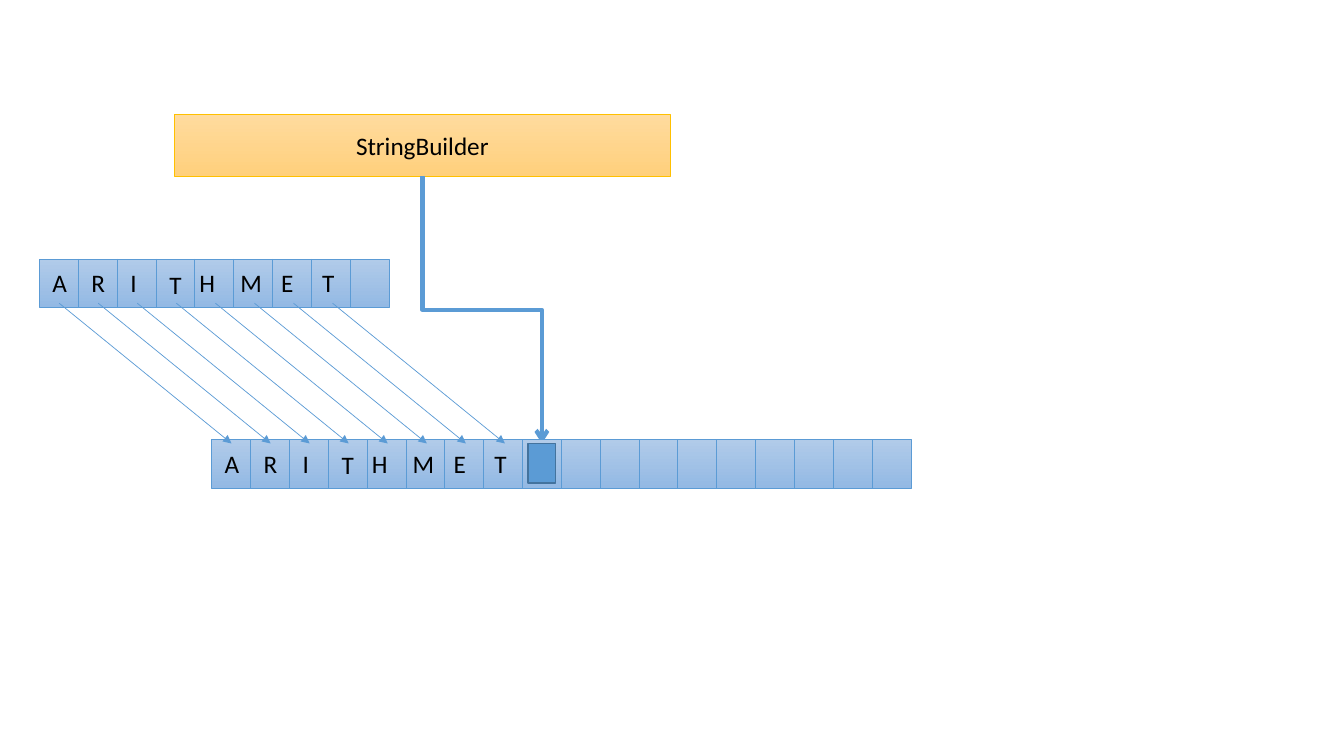
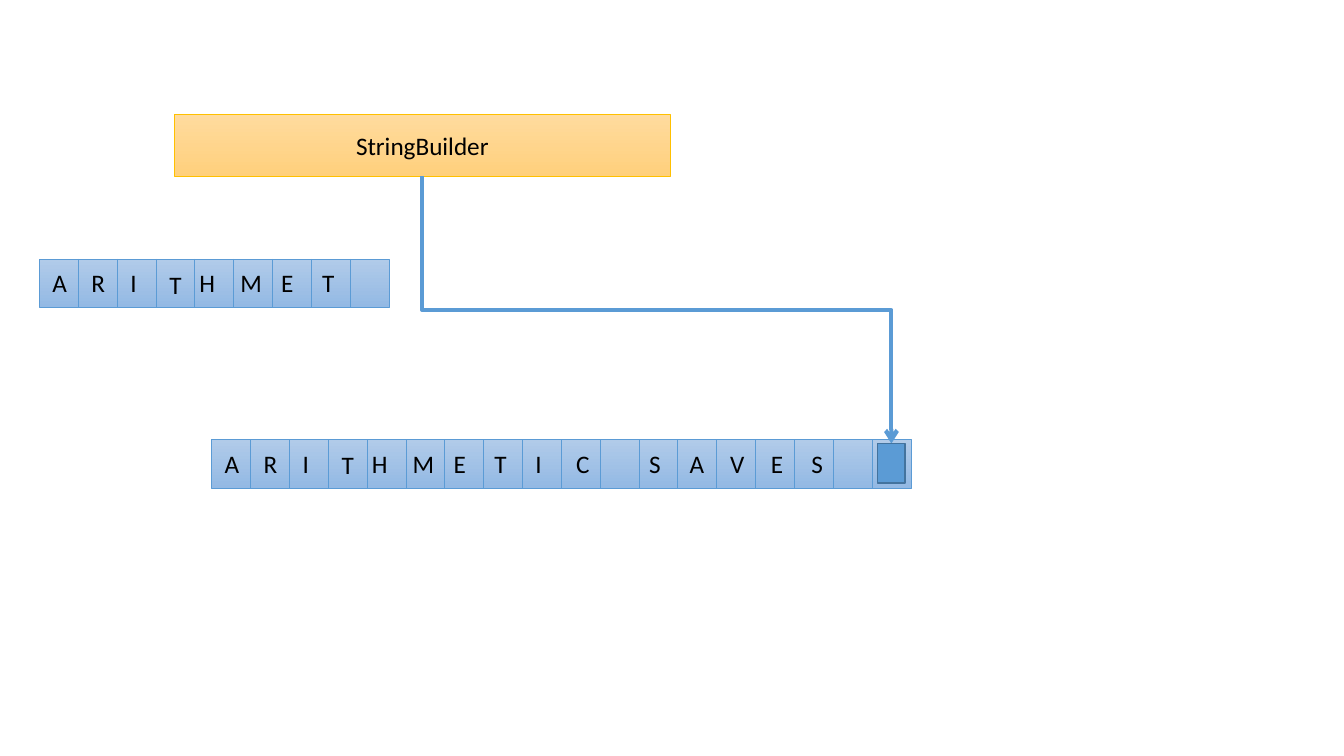
import pptx
import pptx.util
import pptx.dml.color
import pptx.enum.shapes
import pptx.enum.text
import lxml.etree

Pt = pptx.util.Pt
RGBColor = pptx.dml.color.RGBColor
RECTANGLE = pptx.enum.shapes.MSO_SHAPE.RECTANGLE
CONNECTOR = pptx.enum.shapes.MSO_CONNECTOR

BLACK = RGBColor(0x00, 0x00, 0x00)
BLUE = RGBColor(0x5B, 0x9B, 0xD5)
DARK_BLUE = RGBColor(0x43, 0x73, 0x9E)
CELL_TOP = RGBColor(0xB1, 0xCB, 0xE9)
CELL_BOTTOM = RGBColor(0x93, 0xB9, 0xE4)
GOLD = RGBColor(0xFF, 0xC0, 0x00)
GOLD_TOP = RGBColor(0xFF, 0xDB, 0x9E)
GOLD_BOTTOM = RGBColor(0xFF, 0xD0, 0x7C)

FONT = "Calibri"
CELL_W, CELL_H = 27.75, 34.6
CELLS_PER_BLOCK = 9
BLOCK_W = CELLS_PER_BLOCK * CELL_W
HEADER = (124.6, 81.4, 354.2, 44.6)
SOURCE = (28.1, 185)
BUFFER = (151.2, 313.9)
MARKER_W, MARKER_H = 19.6, 28.3
LETTER_RUNS = (("ARIT", 2.2, 27.85), ("HMETIC", 107.3, 29.2), ("SAVES", 305.3, 29))
LETTER_W = {"A": 25.2, "R": 25, "I": 19.4, "T": 23, "H": 26, "M": 30,
            "E": 23, "C": 24.5, "S": 23, "V": 25.2}
LETTER_H = 29


def add_run(p, text):
    r = p.add_run()
    r.text = text
    r.font.name = FONT
    r.font.size = Pt(18)
    r.font.color.rgb = BLACK


def add_rect(shapes, box, colors, line, weight=0.5):
    sp = shapes.add_shape(RECTANGLE, *map(Pt, box))
    sp.shadow.inherit = False
    if len(colors) == 1:
        sp.fill.solid()
        sp.fill.fore_color.rgb = colors[0]
    else:
        sp.fill.gradient()
        sp.fill.gradient_angle = 270
        for stop, color in zip(sp.fill.gradient_stops, colors):
            stop.color.rgb = color
    sp.line.color.rgb = line
    sp.line.width = Pt(weight)
    return sp


def add_line(shapes, start, end, weight=0.5, head=None, kind=CONNECTOR.STRAIGHT):
    line = shapes.add_connector(kind, *map(Pt, start + end))
    line.line.color.rgb = BLUE
    line.line.width = Pt(weight)
    ns = pptx.oxml.ns.qn
    if head:
        ln = line.line._get_or_add_ln()
        lxml.etree.SubElement(ln, ns("a:tailEnd"), type=head)
    lxml.etree.SubElement(line._element.spPr, ns("a:effectLst"))
    return line


def add_header(s, box):
    sp = add_rect(s.shapes, box, (GOLD_TOP, GOLD_BOTTOM), GOLD)
    tf = sp.text_frame
    tf.vertical_anchor = pptx.enum.text.MSO_ANCHOR.MIDDLE
    p = tf.paragraphs[0]
    p.alignment = pptx.enum.text.PP_ALIGN.CENTER
    add_run(p, "StringBuilder")


def add_block(s, x, y):
    shapes = s.shapes.add_group_shape().shapes
    add_rect(shapes, (x, y, BLOCK_W, CELL_H), (CELL_TOP, CELL_BOTTOM), BLUE)
    for i in range(1, CELLS_PER_BLOCK):
        edge = x + i * CELL_W
        add_line(shapes, (edge, y), (edge, y + CELL_H))


def add_letters(s, x, y, count):
    places = [(letter, start + i * step)
              for letters, start, step in LETTER_RUNS
              for i, letter in enumerate(letters)]
    for i, (letter, dx) in enumerate(places[:count]):
        drop = 3.6 if i == 3 else 2.5
        tb = s.shapes.add_textbox(Pt(x + dx), Pt(y + drop), Pt(LETTER_W[letter]), Pt(LETTER_H))
        tf = tb.text_frame
        tf.word_wrap = False
        tf.auto_size = pptx.enum.text.MSO_AUTO_SIZE.SHAPE_TO_FIT_TEXT
        add_run(tf.paragraphs[0], letter)


def add_pointer(s, start, end):
    run, rise = end[0] - start[0], end[1] - start[1]
    cx, cy = start[0] + run / 2, start[1] + rise / 2
    line = add_line(s.shapes, (cx - rise / 2, cy - run / 2), (cx + rise / 2, cy + run / 2),
                    3, "arrow", CONNECTOR.ELBOW)
    xfrm = line._element.spPr.xfrm
    xfrm.set("rot", str(270 * 60000))
    xfrm.set("flipH", "1")


def add_copy_arrows(s, source, target, count):
    for i in range(count):
        dx = 14.2 + i * 27.9
        add_line(s.shapes, (source[0] + dx, source[1] + CELL_H - 3),
                 (target[0] + dx, target[1] + 2.9), head="triangle")


def add_buffer_slide(prs, buffered, next_cell, arrows=0):
    s = prs.slides.add_slide(prs.slide_layouts[6])
    x, y = BUFFER
    marker_x, marker_y = x + next_cell * CELL_W + 4, y + 2.9
    add_block(s, x + BLOCK_W, y)
    add_header(s, HEADER)
    add_block(s, *SOURCE)
    hx, hy, hw, hh = HEADER
    add_pointer(s, (hx + hw / 2, hy + hh), (marker_x + MARKER_W / 2, marker_y))
    add_block(s, x, y)
    add_rect(s.shapes, (marker_x, marker_y, MARKER_W, MARKER_H), (BLUE,), DARK_BLUE, 1)
    add_letters(s, *SOURCE, 8)
    add_letters(s, x, y, buffered)
    add_copy_arrows(s, SOURCE, BUFFER, arrows)


prs = pptx.Presentation()
prs.slide_width, prs.slide_height = Pt(960), Pt(540)
add_buffer_slide(prs, buffered=8, next_cell=8, arrows=8)
add_buffer_slide(prs, buffered=15, next_cell=17)
prs.save("out.pptx")
